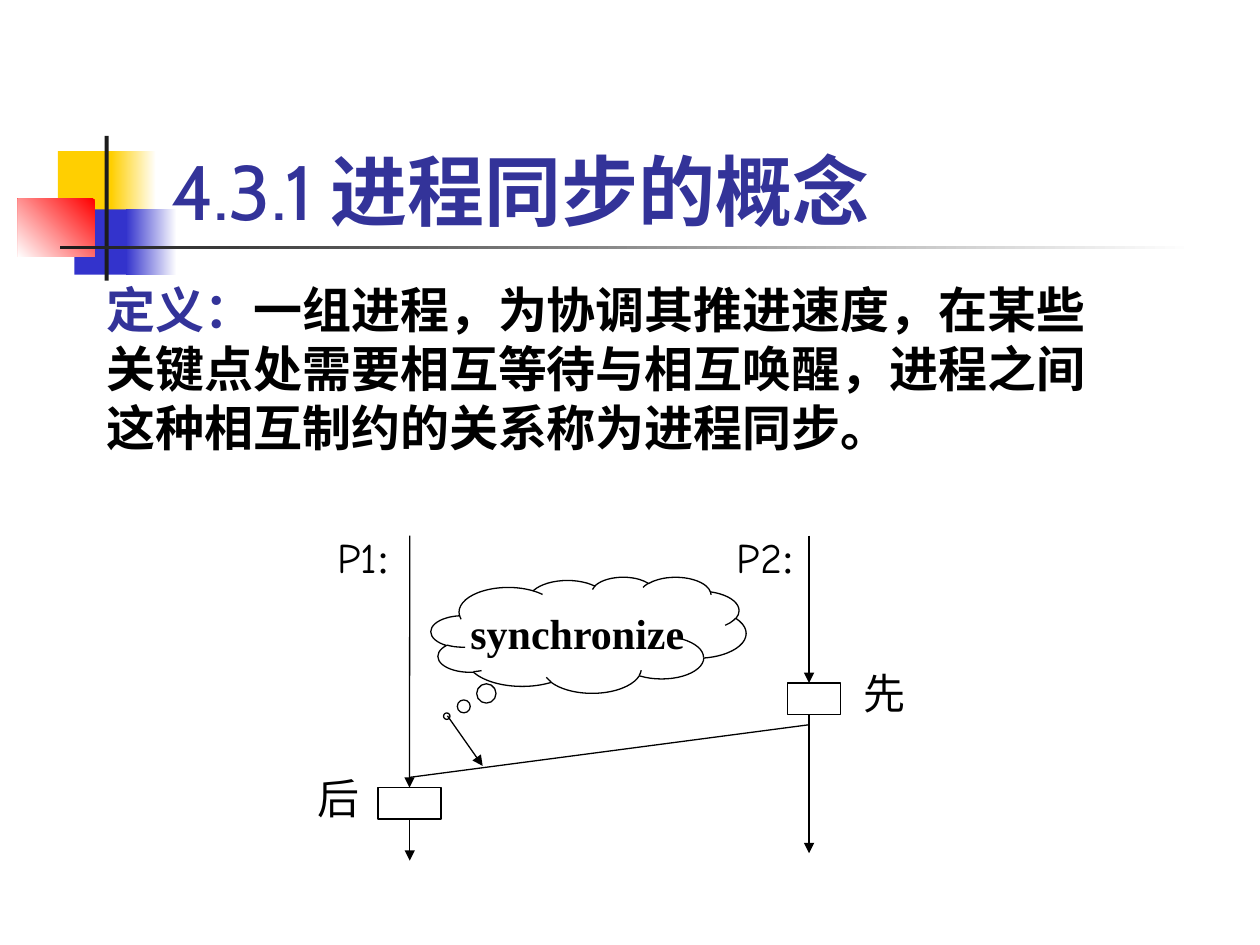
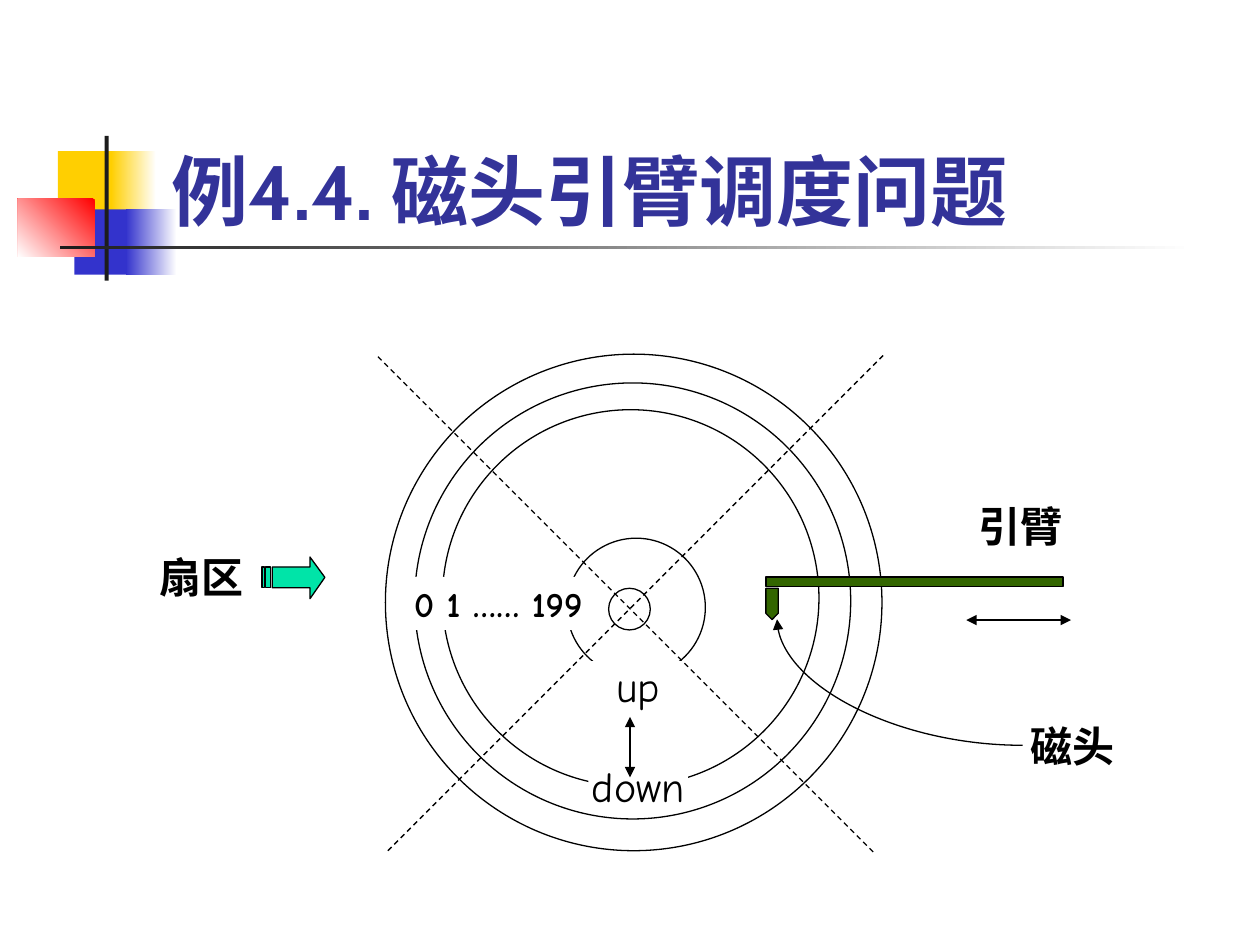
from lxml.etree import SubElement
from pptx import Presentation
from pptx.dml.color import RGBColor
from pptx.enum.dml import MSO_LINE
from pptx.enum.shapes import MSO_CONNECTOR as LINK, MSO_SHAPE as SHAPE
from pptx.enum.text import MSO_ANCHOR as ANCHOR, MSO_AUTO_SIZE as FIT, PP_ALIGN as ALIGN
from pptx.oxml.ns import qn
from pptx.shapes.connector import Connector
from pptx.util import Cm, Pt

COLORS = {
    "ink": "000000", "paper": "FFFFFF", "title": "333399", "yellow": "FFCF01",
    "blue": "3333CC", "red": "FF0000", "bar": "1C1C1C", "arm": "336600", "arrow": "00E4A8",
}
RGB = {name: RGBColor.from_string(value) for name, value in COLORS.items()}
SANS, COMIC, SERIF = "Cabin", "Comic Neue", "Times New Roman"


def write(para, text, size=24, font=SERIF, color="ink", bold=False):
    span = para.add_run()
    span.text = text
    span.font.size = Pt(size)
    span.font.name = font
    span.font.color.rgb = RGB[color]
    span.font.bold = bold


def style(item, fill=None, outlined=True, dashed=False, ends=()):
    """Format a shape or connector; a fill of (start, end, angle) is a gradient."""
    if outlined:
        item.line.color.rgb = RGB["ink"]
        item.line.width = Pt(0.75)
    else:
        item.line.fill.background()
    if dashed:
        item.line.dash_style = MSO_LINE.DASH
    properties = item.element.spPr
    for end in ends:
        SubElement(properties.find(qn("a:ln")), qn(f"a:{end}End"), type="triangle")
    if isinstance(item, Connector):
        SubElement(properties, qn("a:effectLst"))
        return
    item.shadow.inherit = False
    if fill is None:
        item.fill.background()
    elif isinstance(fill, tuple):
        item.fill.gradient()
        item.fill.gradient_angle = fill[2]
        for stop, color in zip(item.fill.gradient_stops, fill):
            stop.color.rgb = RGB[color]
    else:
        item.fill.solid()
        item.fill.fore_color.rgb = RGB[fill]


deck = Presentation()
deck.slide_width, deck.slide_height = Cm(25.4), Cm(19.05)
layout = deck.slide_layouts[5]
sync_page = deck.slides.add_slide(layout)
disk_page = deck.slides.add_slide(layout)

# Shared corner blocks and rules, moved to the layout
marks = [
    (1.17, 3.05, 1.22, 1.32, "yellow"),
    (2.24, 3.05, 0.91, 1.32, ("paper", "yellow", 180)),
    (1.5, 4.22, 1.17, 1.32, "blue"),
    (2.54, 4.22, 1.02, 1.32, ("paper", "blue", 180)),
    (0.36, 4.01, 1.55, 1.17, ("red", "paper", 225)),
    (2.11, 2.74, 0.08, 2.92, "bar"),
    (1.22, 4.95, 22.86, 0.08, ("paper", "bar", 180)),
]
for number, (*place, fill) in enumerate(marks, start=100):
    mark = sync_page.shapes.add_shape(SHAPE.RECTANGLE, *map(Cm, place))
    style(mark, fill, outlined=False)
    mark.element.nvSpPr.cNvPr.set("id", str(number))
    layout.shapes.element.append(mark.element)

# Titles
titles = [
    (sync_page, [("4.3.1 ", False), ("进程同步的概念", True)]),
    (disk_page, [("例4.4. 磁头引臂调度问题", True)]),
]
for page, parts in titles:
    title = page.shapes.title
    title.left, title.top, title.width, title.height = Cm(3.2), Cm(1.7), Cm(21.64), Cm(3.18)
    title.text_frame.vertical_anchor = ANCHOR.BOTTOM
    title.text_frame.auto_size = FIT.NONE
    para = title.text_frame.paragraphs[0]
    para.alignment = ALIGN.LEFT
    for text, bold in parts:
        write(para, text, size=44, font=SANS, color="title", bold=bold)

# Disk tracks, hub and the white panels that carry text
disk_parts = [
    (SHAPE.OVAL, 7.77, 7.14, 10.01, 10.01),
    (SHAPE.OVAL, 8.36, 7.72, 8.79, 8.79),
    (SHAPE.OVAL, 8.92, 8.26, 7.59, 7.59),
    (SHAPE.OVAL, 11.43, 10.85, 2.79, 2.79),
    (SHAPE.RECTANGLE, 8.05, 11.63, 3.99, 1.07),
    (SHAPE.OVAL, 12.27, 11.86, 0.84, 0.84),
    (SHAPE.RECTANGLE, 11.86, 13.33, 2.01, 3),
]
panels = []
for kind, *place in disk_parts:
    part = disk_page.shapes.add_shape(kind, *map(Cm, place))
    style(part, "paper", outlined=kind == SHAPE.OVAL)
    if kind == SHAPE.RECTANGLE:
        panels.append(part)

# Arm with its reading head
arm = disk_page.shapes.add_group_shape()
arm_parts = [
    (SHAPE.FLOWCHART_OFFPAGE_CONNECTOR, 15.44, 11.86, 0.25, 0.63),
    (SHAPE.RECTANGLE, 15.44, 11.63, 5.99, 0.2),
]
for kind, *place in arm_parts:
    style(arm.shapes.add_shape(kind, *map(Cm, place)), "arm")

# Striped sector arrow, drawn in hundredths of a centimetre
builder = disk_page.shapes.build_freeform(549, 1143, scale=Cm(0.01))
builder.add_line_segments(
    [(625, 1143), (625, 1123), (655, 1164), (625, 1207), (625, 1185), (549, 1185)])
for left, right in [(528, 533), (536, 546)]:
    builder.move_to(left, 1143)
    builder.add_line_segments([(right, 1143), (right, 1185), (left, 1185)])
style(builder.convert_to_shape(), "arrow")

# Straight lines of both pages
both, tail = ("head", "tail"), ("tail",)
lines = [
    (sync_page, 16.31, 10.8, 16.31, 13.77, tail, False),
    (sync_page, 16.31, 14.4, 16.31, 17.2, tail, False),
    (sync_page, 8.26, 16.08, 8.26, 17.35, tail, False),
    (sync_page, 8.26, 15.67, 16.31, 14.61, (), False),
    (sync_page, 9.02, 14.43, 9.73, 15.44, tail, False),
    (sync_page, 8.26, 10.8, 8.26, 15.88, tail, False),
    (disk_page, 12.7, 14.45, 12.7, 15.67, both, False),
    (disk_page, 7.62, 7.19, 17.63, 17.2, (), True),
    (disk_page, 7.82, 17.15, 17.83, 7.14, (), True),
    (disk_page, 19.48, 12.5, 21.59, 12.5, both, False),
]
connectors = []
for page, *points, ends, dashed in lines:
    connector = page.shapes.add_connector(LINK.STRAIGHT, *map(Cm, points))
    style(connector, ends=ends, dashed=dashed)
    connectors.append(connector)

# Curve from the reading head to its label: a quarter bend, turned upright
curve = disk_page.shapes.add_connector(LINK.CURVE, Cm(19.41), Cm(11.28), Cm(16.87), Cm(16.23))
curve.element.spPr.find(qn("a:prstGeom")).set("prst", "curvedConnector2")
curve.element.spPr.find(qn("a:xfrm")).set("rot", str(270 * 60000))
style(curve, ends=("head",))

# Process steps and the cloud
for left, top, width in [(15.88, 13.77, 1.07), (7.62, 15.88, 1.27)]:
    step = sync_page.shapes.add_shape(SHAPE.RECTANGLE, Cm(left), Cm(top), Cm(width), Cm(0.63))
    style(step, "paper")
connectors[5].end_connect(step, 0)

cloud = sync_page.shapes.add_shape(SHAPE.CLOUD_CALLOUT, Cm(8.69), Cm(11.63), Cm(6.35), Cm(2.34))
cloud.adjustments[0], cloud.adjustments[1] = -0.45, 0.7
style(cloud)

# Centred text inside shapes
captions = [
    (cloud, ["synchronize"], dict(bold=True)),
    (panels[0], ["0 1 …… 199"], dict(size=20, font=COMIC, bold=True)),
    (panels[1], ["up", "down"], dict(font=COMIC)),
]
for shape, texts, look in captions:
    frame = shape.text_frame
    frame.word_wrap = False
    frame.vertical_anchor = ANCHOR.MIDDLE
    for index, text in enumerate(texts):
        para = frame.add_paragraph() if index else frame.paragraphs[0]
        para.alignment = ALIGN.CENTER
        if index:
            para.space_before = Pt(28.8)
        write(para, text, **look)

# Text boxes of both pages
comic, comic_bold = dict(font=COMIC), dict(font=COMIC, bold=True)
definition = "一组进程，为协调其推进速度，在某些关键点处需要相互等待与相互唤醒，进程之间这种相互制约的关系称为进程同步。"
labels = [
    (sync_page, 1.9, 5.51, 20.96, 3.81, [
        ("定义：", dict(size=28, color="title", bold=True)),
        (definition, dict(size=28, bold=True))]),
    (sync_page, 6.55, 10.59, 1.7, 1.27, [("P1", comic), (":", {})]),
    (sync_page, 14.6, 10.59, 1.9, 1.27, [("P2", comic), (":", {})]),
    (sync_page, 6.15, 15.44, 1.27, 1.27, [("后", {})]),
    (sync_page, 17.15, 13.33, 1.47, 1.27, [("先", {})]),
    (disk_page, 20.52, 14.4, 2.34, 1.27, [("磁头", comic_bold)]),
    (disk_page, 19.48, 9.96, 2.54, 1.27, [("引臂", comic_bold)]),
    (disk_page, 2.97, 11, 2.34, 1.27, [("扇区", comic_bold)]),
]
for page, *place, parts in labels:
    box = page.shapes.add_textbox(*map(Cm, place))
    box.text_frame.word_wrap = True
    box.text_frame.auto_size = FIT.SHAPE_TO_FIT_TEXT
    for text, look in parts:
        write(box.text_frame.paragraphs[0], text, **look)

deck.save("out.pptx")
